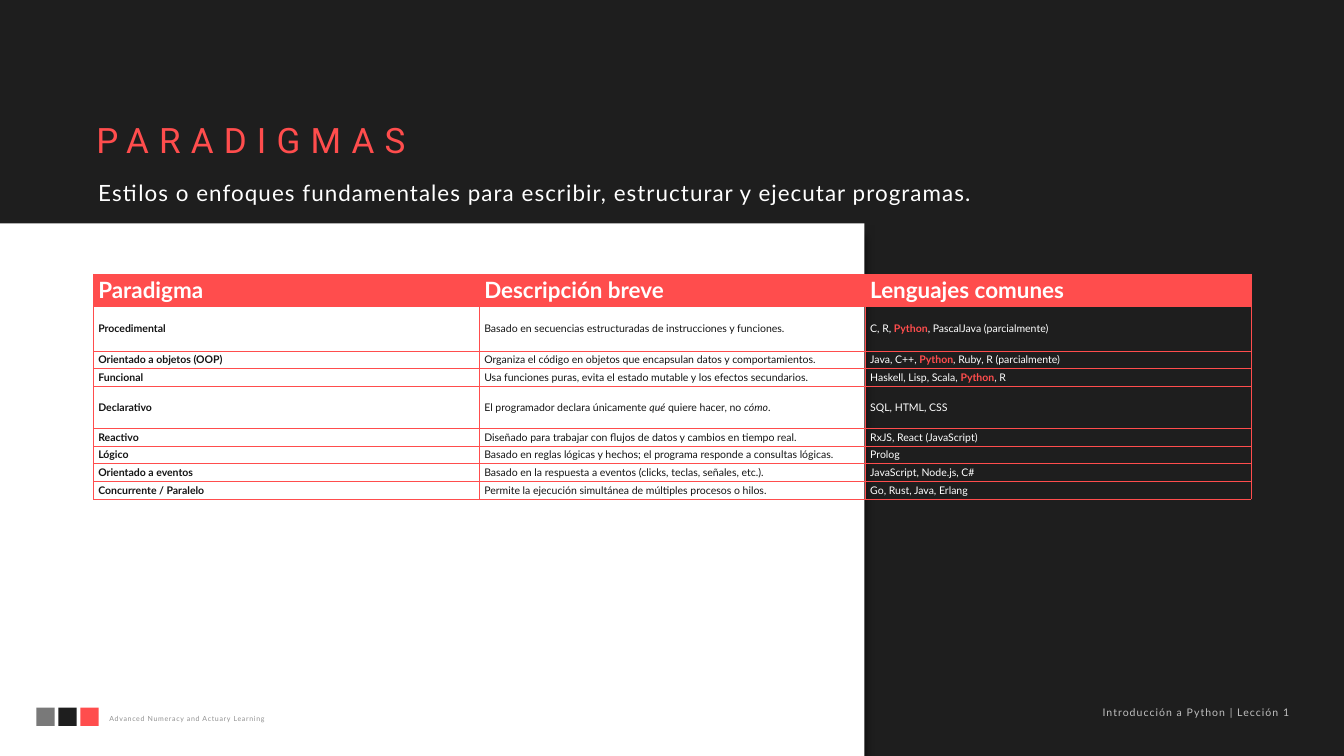
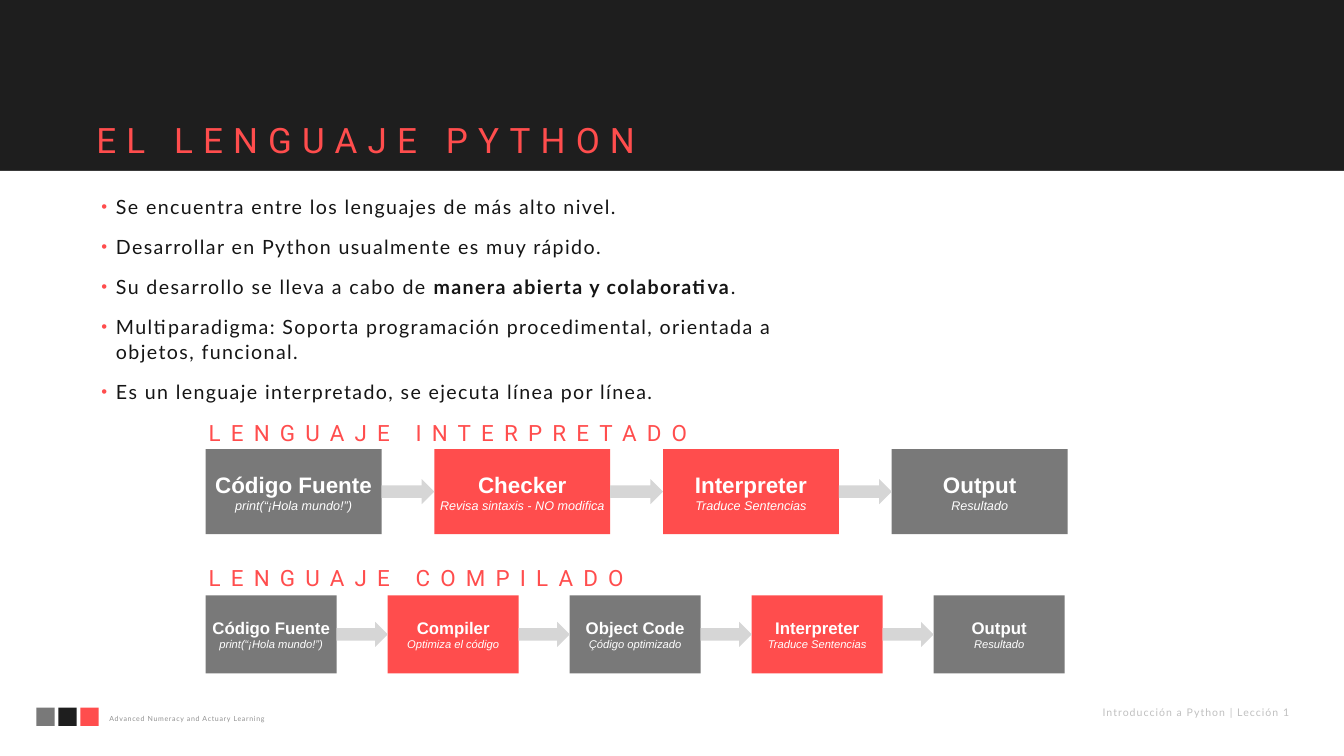
from lxml import etree
from pptx import Presentation
from pptx.dml.color import RGBColor
from pptx.enum.shapes import MSO_SHAPE
from pptx.enum.text import MSO_ANCHOR, MSO_AUTO_SIZE, PP_ALIGN
from pptx.oxml.ns import qn
from pptx.util import Pt

RECT, ARROW = MSO_SHAPE.RECTANGLE, MSO_SHAPE.RIGHT_ARROW
LEFT, CENTER = PP_ALIGN.LEFT, PP_ALIGN.CENTER
TOP, MIDDLE = MSO_ANCHOR.TOP, MSO_ANCHOR.MIDDLE

C = {"dark": "1E1E1E", "white": "FFFFFF", "red": "FF4D4D", "gray": "797979",
     "arrow": "D6D6D6", "brand": "919191", "lesson": "C0C0C0", "ink": "151515"}

W, H = 1920, 1080
MARGIN = 133.2
INSET = 4.3
BRAND = "Advanced Numeracy and Actuary Learning"
LESSON = "Introducción a Python | Lección 1"
SQUARES = ["gray", "dark", "red"]

BOLD = {"bold": True}
ITALIC = {"italic": True}
PY = ("Python", {"bold": True, "color": "red"})

SUBTITLE = "Estilos o enfoques fundamentales para escribir, estructurar y ejecutar programas."
HEADER = ["Paradigma", "Descripción breve", "Lenguajes comunes"]
PARADIGMS = [
    ("Procedimental",
     ["Basado en secuencias estructuradas de instrucciones y funciones."],
     ["C, R, ", PY, ", PascalJava (parcialmente)"]),
    ("Orientado a objetos (OOP)",
     ["Organiza el código en objetos que encapsulan datos y comportamientos."],
     ["Java, C++, ", PY, ", Ruby, R (parcialmente)"]),
    ("Funcional",
     ["Usa funciones puras, evita el estado mutable y los efectos secundarios."],
     ["Haskell, Lisp, Scala, ", PY, ", R"]),
    ("Declarativo",
     ["El programador declara únicamente ", ("qué", ITALIC),
      " quiere hacer, no ", ("cómo", ITALIC), "."],
     ["SQL, HTML, CSS"]),
    ("Reactivo",
     ["Diseñado para trabajar con flujos de datos y cambios en tiempo real."],
     ["RxJS, React (JavaScript)"]),
    ("Lógico",
     ["Basado en reglas lógicas y hechos; el programa responde a consultas lógicas."],
     ["Prolog"]),
    ("Orientado a eventos",
     ["Basado en la respuesta a eventos (clicks, teclas, señales, etc.)."],
     ["JavaScript, Node.js, C#"]),
    ("Concurrente / Paralelo",
     ["Permite la ejecución simultánea de múltiples procesos o hilos."],
     ["Go, Rust, Java, Erlang"]),
]
COL_W = 551.4
HEADER_H, ROW_H = 45.6, 25.2
TALL_ROWS = {"Procedimental": 64, "Declarativo": 60}

BULLETS = [
    ["Se encuentra entre los lenguajes de más alto nivel."],
    ["Desarrollar en Python usualmente es muy rápido."],
    ["Su desarrollo se lleva a cabo de ", ("manera abierta y colaborativa", BOLD), "."],
    ["Multiparadigma: Soporta programación procedimental, orientada a objetos, funcional."],
    ["Es un lenguaje interpretado, se ejecuta línea por línea."],
]

SOURCE = ("Código Fuente", "print(“¡Hola mundo!”)", "gray")
INTERPRETER = ("Interpreter", "Traduce Sentencias", "red")
OUTPUT = ("Output", "Resultado", "gray")
FLOW_X, ARROW_H = 293.8, 36
FLOWS = [
    {"title": "LENGUAJE INTERPRETADO", "title_y": 594, "y": 641.5, "w": 251.3, "h": 121.7,
     "pitch": 326.7, "sizes": (32, 18),
     "steps": [SOURCE, ("Checker", "Revisa sintaxis - NO modifica", "red"),
               INTERPRETER, OUTPUT]},
    {"title": "LENGUAJE COMPILADO", "title_y": 802, "y": 850.6, "w": 187.2, "h": 111.4,
     "pitch": 260, "sizes": (24, 16),
     "steps": [SOURCE, ("Compiler", "Optimiza el código", "red"),
               ("Object Code", "Çódigo optimizado", "gray"), INTERPRETER, OUTPUT]},
]


def rgb(name):
    return RGBColor.from_string(C[name])


def box(*lengths):
    return [Pt(v) for v in lengths]


def sub(parent, tag, **attrs):
    return etree.SubElement(parent, qn(tag), {k: str(v) for k, v in attrs.items()})


def add_runs(p, runs, size, color, font="Lato", spacing=0, bold=False, italic=False):
    for item in runs:
        text, style = (item, {}) if isinstance(item, str) else item
        r = p.add_run()
        r.text = text
        r.font.name, r.font.size = font, Pt(size)
        r.font.bold = style.get("bold", bold)
        r.font.italic = style.get("italic", italic)
        r.font.color.rgb = rgb(style.get("color", color))
        if spacing:
            r._r.get_or_add_rPr().set("spc", str(int(spacing * 100)))


def set_frame(tf, inset, anchor=TOP):
    tf.word_wrap = True
    tf.auto_size = MSO_AUTO_SIZE.NONE
    tf.vertical_anchor = anchor
    tf.margin_left = tf.margin_right = tf.margin_top = tf.margin_bottom = Pt(inset)


def add_text(s, area, text, size, color, align=LEFT, anchor=TOP, inset=INSET, **style):
    tf = s.shapes.add_textbox(*box(*area)).text_frame
    set_frame(tf, inset, anchor)
    p = tf.paragraphs[0]
    p.alignment = align
    add_runs(p, [text], size, color, **style)


def add_block(shapes, kind, area, color):
    sp = shapes.add_shape(kind, *box(*area))
    sp.shadow.inherit = False
    sp.fill.solid()
    sp.fill.fore_color.rgb = rgb(color)
    sp.line.fill.background()
    return sp


def add_panel(s, area):
    sp = add_block(s.shapes, RECT, area, "white")
    effects = sp._element.spPr.find(qn("a:effectLst"))
    shadow = sub(effects, "a:outerShdw", blurRad=Pt(15), dist=Pt(18), dir=5400000,
                 rotWithShape=0)
    sub(shadow, "a:srgbClr", val="000000")


def add_slide(prs, title, panel):
    s = prs.slides.add_slide(prs.slide_layouts[5])
    s.background.fill.solid()
    s.background.fill.fore_color.rgb = rgb("dark")
    add_panel(s, panel)
    sp = s.shapes.title
    sp.left, sp.top, sp.width, sp.height = box(MARGIN, 165.6, 825, 68.4)
    s.shapes._spTree.append(sp._element)
    set_frame(sp.text_frame, INSET)
    p = sp.text_frame.paragraphs[0]
    p.alignment = LEFT
    add_runs(p, [title], 50, "red", font="Roboto", spacing=14.5)
    group = s.shapes.add_group_shape()
    for i, color in enumerate(SQUARES):
        add_block(group.shapes, RECT, (52 + i * 31.4, 1011, 26, 26), color)
    add_text(s, (152, 1016, 413, 21), BRAND, 10, "brand", anchor=MIDDLE, spacing=1)
    add_text(s, (1555, 1004.4, 307.4, 26), LESSON, 15, "lesson", CENTER, MIDDLE, spacing=1.5)
    return s


def format_cell(cell, runs, size, color, bold=False, fill=None):
    tcPr = cell._tc.get_or_add_tcPr()
    for side in ("a:lnL", "a:lnR", "a:lnT", "a:lnB"):
        line = sub(tcPr, side, w=Pt(0.75))
        sub(sub(line, "a:solidFill"), "a:srgbClr", val=C["red"])
    if fill:
        cell.fill.solid()
        cell.fill.fore_color.rgb = rgb(fill)
    else:
        cell.fill.background()
    cell.vertical_anchor = MIDDLE
    add_runs(cell.text_frame.paragraphs[0], runs, size, color, bold=bold)


def add_paradigm_table(s):
    heights = [HEADER_H] + [TALL_ROWS.get(row[0], ROW_H) for row in PARADIGMS]
    frame = s.shapes.add_table(len(heights), len(HEADER),
                               *box(MARGIN, 391.7, COL_W * len(HEADER), sum(heights)))
    table = frame.table
    table.first_row = table.horz_banding = False
    for col in table.columns:
        col.width = Pt(COL_W)
    for row, height in zip(table.rows, heights):
        row.height = Pt(height)
    for cell, text in zip(table.rows[0].cells, HEADER):
        format_cell(cell, [text], 32, "white", True, "red")
    for i, (name, description, languages) in enumerate(PARADIGMS, 1):
        format_cell(table.cell(i, 0), [name], 15, "ink", True)
        format_cell(table.cell(i, 1), description, 15, "ink")
        format_cell(table.cell(i, 2), languages, 15, "white")


def add_bullets(s):
    tf = s.shapes.add_textbox(*box(140.4, 270.7, 1026.7, 311)).text_frame
    set_frame(tf, INSET)
    for i, runs in enumerate(BULLETS):
        p = tf.add_paragraph() if i else tf.paragraphs[0]
        pPr = p._p.get_or_add_pPr()
        pPr.set("marL", str(Pt(21)))
        pPr.set("indent", str(Pt(-21)))
        sub(sub(pPr, "a:buClr"), "a:srgbClr", val=C["red"])
        sub(pPr, "a:buSzPct", val=85000)
        sub(pPr, "a:buFont", typeface="Arial")
        sub(pPr, "a:buChar", char="•")
        p.line_spacing = 1.1
        p.space_before = Pt(20 if i else 0)
        add_runs(p, runs, 28, "ink", spacing=2)


def add_flow(s, flow):
    y, w, h, pitch = (flow[k] for k in ("y", "w", "h", "pitch"))
    name_size, note_size = flow["sizes"]
    for i, (name, note, color) in enumerate(flow["steps"]):
        x = FLOW_X + i * pitch
        tf = add_block(s.shapes, RECT, (x, y, w, h), color).text_frame
        set_frame(tf, 0, MIDDLE)
        add_runs(tf.paragraphs[0], [name], name_size, "white", font="Arial", bold=True)
        add_runs(tf.add_paragraph(), [note], note_size, "white", font="Arial", italic=True)
        for p in tf.paragraphs:
            p.alignment = CENTER
        if i:
            add_block(s.shapes, ARROW,
                      (x - pitch + w, y + (h - ARROW_H) / 2, pitch - w, ARROW_H), "arrow")
    add_text(s, (FLOW_X, flow["title_y"], 825, 46.8), flow["title"], 32, "red",
             font="Roboto", spacing=14.5)


def main():
    prs = Presentation()
    prs.slide_width, prs.slide_height = Pt(W), Pt(H)

    s = add_slide(prs, "PARADIGMAS", (0, 319, 1235, H - 319))
    add_paradigm_table(s)
    add_text(s, (MARGIN, 249, 1654, 46), SUBTITLE, 32, "white", inset=7.2, spacing=1.5)

    s = add_slide(prs, "EL LENGUAJE PYTHON", (0, 244, W, H - 244))
    add_bullets(s)
    for flow in FLOWS:
        add_flow(s, flow)

    prs.save("out.pptx")


if __name__ == "__main__":
    main()
